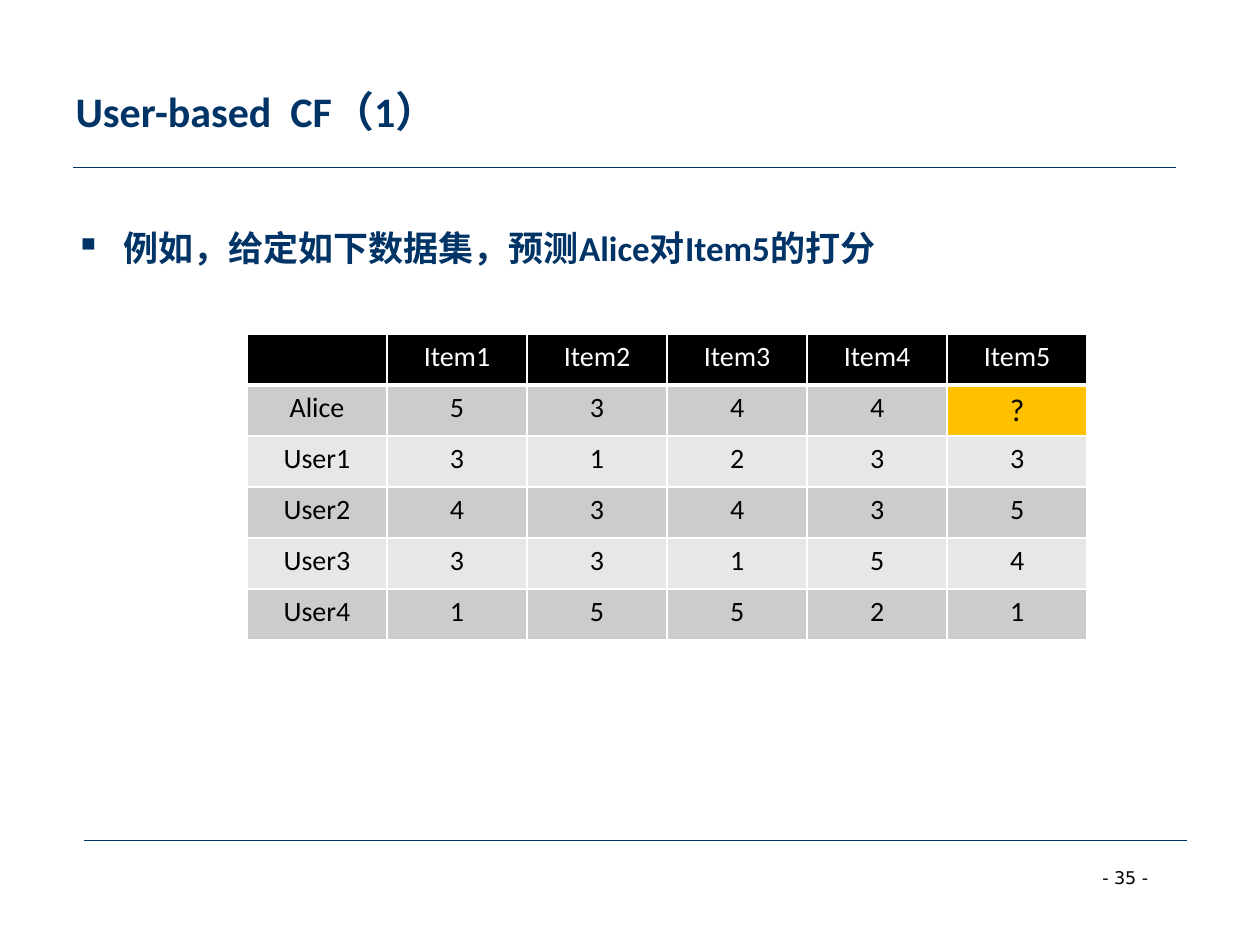
from lxml.etree import SubElement
from pptx import Presentation
from pptx.dml.color import RGBColor
from pptx.enum.shapes import MSO_CONNECTOR
from pptx.enum.text import MSO_ANCHOR, PP_ALIGN
from pptx.oxml.ns import qn
from pptx.util import Inches, Pt

NAVY, BLACK, WHITE = "003366", "000000", "FFFFFF"
DARK_BAND, LIGHT_BAND, HIGHLIGHT = "CCCCCC", "E7E7E7", "FFC000"

RATINGS = [
    ["", "Item1", "Item2", "Item3", "Item4", "Item5"],
    ["Alice", "5", "3", "4", "4", "?"],
    ["User1", "3", "1", "2", "3", "3"],
    ["User2", "4", "3", "4", "3", "5"],
    ["User3", "3", "3", "1", "5", "4"],
    ["User4", "1", "5", "5", "2", "1"],
]


def color(value):
    return RGBColor.from_string(value)


class SlideBuilder:
    def __init__(self, slide, font_name="Calibri"):
        self.slide = slide
        self.font_name = font_name

    def format_runs(self, paragraph, size, text_color, bold=False, font_name=None):
        for run in paragraph.runs:
            run.font.name = font_name or self.font_name
            run.font.size = Pt(size)
            run.font.bold = bold
            run.font.color.rgb = color(text_color)

    def title(self, text, left, top, width, height):
        shape = self.slide.shapes.title
        shape.left, shape.top = Inches(left), Inches(top)
        shape.width, shape.height = Inches(width), Inches(height)
        shape.text_frame.text = text
        shape.text_frame.vertical_anchor = MSO_ANCHOR.MIDDLE
        paragraph = shape.text_frame.paragraphs[0]
        paragraph.alignment = PP_ALIGN.LEFT
        self.format_runs(paragraph, 24, NAVY, bold=True)

    def text_box(self, text, left, top, width, height, wrap=True):
        """Add a text box and return its paragraph."""
        shape = self.slide.shapes.add_textbox(
            Inches(left), Inches(top), Inches(width), Inches(height))
        shape.text_frame.word_wrap = wrap
        shape.text_frame.text = text
        return shape.text_frame.paragraphs[0]

    def bullet(self, text, left, top, width, height, indent=0.38):
        paragraph = self.text_box(text, left, top, width, height)
        properties = paragraph._p.get_or_add_pPr()
        properties.set("marL", str(Inches(indent)))
        properties.set("indent", str(-Inches(indent)))
        SubElement(properties, qn("a:buChar"), char="▪")
        self.format_runs(paragraph, 20, NAVY, bold=True)

    def page_number(self, text, left, top, width, height):
        paragraph = self.text_box(text, left, top, width, height, wrap=False)
        self.format_runs(paragraph, 10, BLACK, font_name="DejaVu Sans")

    def rule(self, left, top, width):
        line = self.slide.shapes.add_connector(
            MSO_CONNECTOR.STRAIGHT, Inches(left), Inches(top),
            Inches(left + width), Inches(top))
        line.line.color.rgb = color(NAVY)
        line.line.width = Pt(0.75)
        SubElement(line._element.spPr, qn("a:effectLst"))

    def cell_borders(self, cell, bottom_width):
        properties = cell._tc.get_or_add_tcPr()
        widths = {"a:lnL": 1, "a:lnR": 1, "a:lnT": 1, "a:lnB": bottom_width}
        for tag, width in widths.items():
            border = SubElement(properties, qn(tag), w=str(Pt(width)))
            fill = SubElement(border, qn("a:solidFill"))
            SubElement(fill, qn("a:srgbClr"), val=WHITE)

    def table(self, rows, left, top, width, height):
        table = self.slide.shapes.add_table(
            len(rows), len(rows[0]), Inches(left), Inches(top),
            Inches(width), Inches(height)).table
        for row_index, values in enumerate(rows):
            is_header = row_index == 0
            band = BLACK if is_header else DARK_BAND if row_index % 2 else LIGHT_BAND
            for column_index, value in enumerate(values):
                is_unknown = value == "?"
                cell = table.cell(row_index, column_index)
                self.cell_borders(cell, 3 if is_header else 1)
                cell.fill.solid()
                cell.fill.fore_color.rgb = color(HIGHLIGHT if is_unknown else band)
                cell.text_frame.text = value
                paragraph = cell.text_frame.paragraphs[0]
                paragraph.alignment = PP_ALIGN.CENTER
                self.format_runs(paragraph, 18 if is_unknown else 16,
                                 WHITE if is_header else BLACK)


def main():
    presentation = Presentation()
    presentation.slide_width, presentation.slide_height = Inches(10), Inches(7.5)
    builder = SlideBuilder(
        presentation.slides.add_slide(presentation.slide_layouts.get_by_name("Title Only")))

    builder.rule(0.58, 1.33, 8.75)
    builder.rule(0.67, 6.67, 8.75)
    builder.page_number("- 35 -", 8.65, 6.83, 0.76, 0.27)
    builder.title("User-based  CF（1）", 0.5, 0.25, 9, 1.25)
    builder.bullet("例如，给定如下数据集，预测Alice对Item5的打分", 0.5, 1.75, 9, 4.95)
    builder.table(RATINGS, 1.96, 2.65, 6.67, 2.43)

    presentation.save("out.pptx")


if __name__ == "__main__":
    main()
